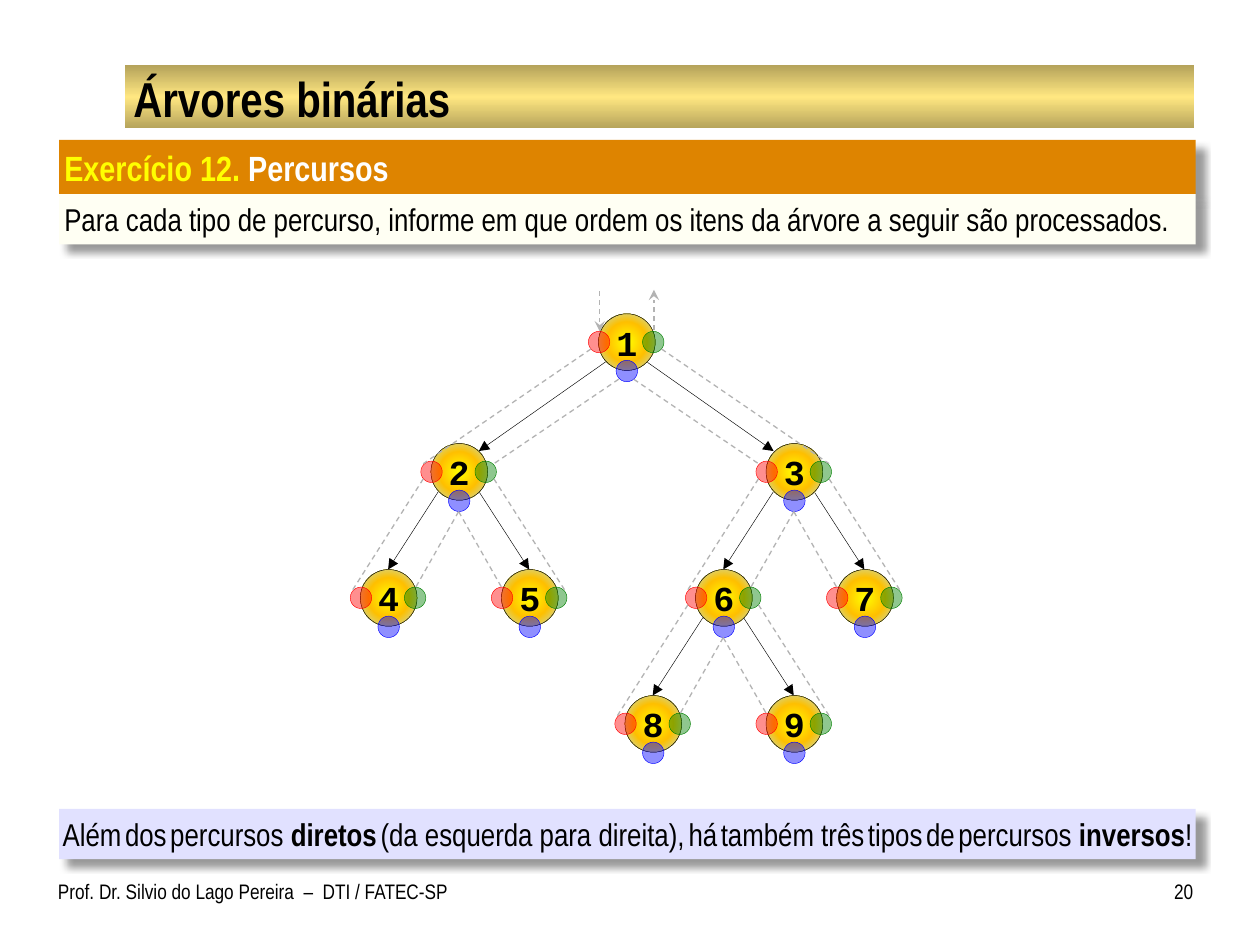
from lxml import etree
from pptx import Presentation
from pptx.dml.color import RGBColor
from pptx.enum.dml import MSO_LINE
from pptx.enum.shapes import MSO_CONNECTOR, MSO_SHAPE
from pptx.enum.text import MSO_ANCHOR, PP_ALIGN
from pptx.oxml import parse_xml
from pptx.oxml.ns import nsdecls, qn
from pptx.util import Emu, Pt

RECTANGLE, OVAL = MSO_SHAPE.RECTANGLE, MSO_SHAPE.OVAL
STRAIGHT, DASH = MSO_CONNECTOR.STRAIGHT, MSO_LINE.DASH
TOP, MIDDLE = MSO_ANCHOR.TOP, MSO_ANCHOR.MIDDLE
LEFT, CENTER, RIGHT, JUSTIFY = PP_ALIGN.LEFT, PP_ALIGN.CENTER, PP_ALIGN.RIGHT, PP_ALIGN.JUSTIFY

EMU_PER_PX = 9144  # 100 px to the inch
BODY_FONT, NODE_FONT = "Arial Narrow", "Courier New"
BLACK, WHITE, YELLOW, GREY = "000000", "FFFFFF", "FFFF00", "B3B3B3"
RED, BLUE, GREEN = "FF0000", "0000FF", "008000"
BAND_STOPS = [(0, "B5A35B"), (50, "FFE781"), (100, "B5A35B")]
NODE_STOPS = [(0, YELLOW), (50, "FFC000"), (100, "B8E3E6")]
VERTICAL = '<a:lin ang="5400000" scaled="0"/>'
RADIAL = '<a:path path="circle"><a:fillToRect l="50000" t="50000" r="50000" b="50000"/></a:path>'

# (label, left subtree, right subtree)
TREE = ("1",
        ("2", ("4", None, None), ("5", None, None)),
        ("3", ("6", ("8", None, None), ("9", None, None)), ("7", None, None)))
RADIUS = 22
NODE_SIZE, DOT_SIZE = 45, 17
DOTS = [(RED, -30, -8), (BLUE, -8, 15), (GREEN, 13, -8)]


def px(value):
    return Emu(round(value * EMU_PER_PX))


def color(hex_string):
    return RGBColor.from_string(hex_string)


def add_shape(shapes, kind, box, fill=None, line=None, alpha=None):
    shape = shapes.add_shape(kind, *map(px, box))
    shape.shadow.inherit = False
    if fill:
        shape.fill.solid()
        shape.fill.fore_color.rgb = color(fill)
    if alpha:
        rgb = shape.fill._xPr.find(".//" + qn("a:srgbClr"))
        etree.SubElement(rgb, qn("a:alpha"), val=str(alpha * 1000))
    if line:
        shape.line.color.rgb = color(line)
        shape.line.width = Pt(0.25)
    else:
        shape.line.fill.background()
    return shape


def set_gradient(shape, stops, direction):
    marks = "".join(f'<a:gs pos="{position * 1000}"><a:srgbClr val="{value}"/></a:gs>'
                    for position, value in stops)
    gradient = parse_xml(f'<a:gradFill {nsdecls("a")} rotWithShape="1">'
                         f"<a:gsLst>{marks}</a:gsLst>{direction}</a:gradFill>")
    shape._element.spPr.find(qn("a:prstGeom")).addnext(gradient)


def add_drop_shadow(shape):
    effects = shape._element.spPr.find(qn("a:effectLst"))
    effects.append(parse_xml(
        f'<a:outerShdw {nsdecls("a")} blurRad="50800" dist="76200" dir="2700000" algn="tl" '
        'rotWithShape="0"><a:srgbClr val="000000"><a:alpha val="40000"/></a:srgbClr></a:outerShdw>'))


def write_text(shape, runs, size=18, font=BODY_FONT, align=LEFT, anchor=TOP,
               insets=(0, 5, 0, 5), wrap=True):
    """Write runs given as (text, format), where format may hold size, color and bold."""
    frame = shape.text_frame
    frame.word_wrap = wrap
    frame.vertical_anchor = anchor
    frame.margin_left, frame.margin_top, frame.margin_right, frame.margin_bottom = map(px, insets)
    paragraph = frame.paragraphs[0]
    paragraph.alignment = align
    for text, style in runs:
        run = paragraph.add_run()
        run.text = text
        run.font.name = font
        run.font.size = Pt(style.get("size", size))
        run.font.bold = style.get("bold", False)
        run.font.color.rgb = color(style.get("color", BLACK))


def add_line(shapes, start, end, stroke=BLACK, width=0.25, dash=None, head=None):
    line = shapes.add_connector(STRAIGHT, *map(px, (*start, *end)))
    line.line.color.rgb = color(stroke)
    line.line.width = Pt(width)
    if dash:
        line.line.dash_style = dash
    properties = line._element.spPr
    if head:
        etree.SubElement(properties.find(qn("a:ln")), qn("a:tailEnd"), type=head)
    etree.SubElement(properties, qn("a:effectLst"))


def add_walk_line(shapes, start, end, head=None):
    add_line(shapes, start, end, GREY, 0.75, DASH, head)


def add_title(slide, left, top, width, height):
    band = add_shape(slide.shapes, RECTANGLE, (left, top, width, height))
    set_gradient(band, BAND_STOPS, VERTICAL)
    title = slide.shapes.add_textbox(*map(px, (left + 1, top + 2, width - 2, height - 3)))
    write_text(title, [("Árvores binárias", {"bold": True})], size=28, anchor=MIDDLE,
               insets=(6, 1, 6, 1))


def add_exercise(slide, left, top, width, header_height, body_height):
    header = add_shape(slide.shapes, RECTANGLE, (left, top, width, header_height), "DE8400")
    write_text(header, [("Exercício 12.", {"bold": True, "color": YELLOW}),
                        (" Percursos", {"bold": True, "color": WHITE})],
               size=20, insets=(4, 5, 10, 5))
    body = add_shape(slide.shapes, RECTANGLE,
                     (left, top + header_height, width, body_height), "FFFFF3")
    write_text(body, [("Para cada tipo de percurso, informe em que ordem os itens da árvore "
                       "a seguir são processados.", {})], align=JUSTIFY, insets=(4, 5, 4, 5))
    for shape in (header, body):
        add_drop_shadow(shape)


def add_note(slide, box):
    """Add the closing note; each | in its text becomes a half-size space."""
    note = add_shape(slide.shapes, RECTANGLE, box, "E1E1FF")
    add_drop_shadow(note)
    phrases = [("Além|dos|percursos ", False), ("diretos", True),
               ("|(da esquerda para direita),|há|também três|tipos|de|percursos ", False),
               ("inversos", True), ("!", False)]
    runs = []
    for phrase, bold in phrases:
        for index, words in enumerate(phrase.split("|")):
            if index:
                runs.append((" ", {"size": 9}))
            if words:
                runs.append((words, {"bold": bold}))
    write_text(note, runs, align=CENTER)


def add_footer(slide, left, top, width, height):
    for text, align in (("Prof. Dr. Silvio do Lago Pereira  –  DTI / FATEC-SP", LEFT),
                        ("20", RIGHT)):
        footer = slide.shapes.add_textbox(*map(px, (left, top, width, height)))
        write_text(footer, [(text, {})], size=12, align=align)


def add_node(shapes, label, x, y):
    node = add_shape(shapes, OVAL, (x - RADIUS, y - RADIUS, NODE_SIZE, NODE_SIZE), line=BLACK)
    set_gradient(node, NODE_STOPS, RADIAL)
    write_text(node, [(label, {"bold": True})], size=20, font=NODE_FONT, align=CENTER,
               anchor=MIDDLE, insets=(10, 5, 10, 5), wrap=False)
    for dot_color, dx, dy in DOTS:
        add_shape(shapes, OVAL, (x + dx, y + dy, DOT_SIZE, DOT_SIZE), dot_color, dot_color, 44)


def place_tree(tree, x, y, depth=0):
    """Return the nodes (label, x, y) and edges (depth, side, parent, child) of a tree."""
    label, *children = tree
    nodes, edges = [(label, x, y)], []
    spread, drop = (56, 100) if depth else (133, 103)
    for side, child in zip((-1, 1), children):
        if child:
            child_x, child_y = x + side * spread, y + drop
            edges.append((depth, side, (x, y), (child_x, child_y)))
            child_nodes, child_edges = place_tree(child, child_x, child_y, depth + 1)
            nodes += child_nodes
            edges += child_edges
    return nodes, edges


def add_tree(slide, x, y):
    """Draw the tree and the walk around it, with its root centred at x, y."""
    shapes = slide.shapes.add_group_shape().shapes
    nodes, edges = place_tree(TREE, x, y)
    for depth, side, (px_, py_), (cx, cy) in edges:
        end = (cx, cy - RADIUS) if depth else (cx - side * 16, cy - 16)
        add_line(shapes, (px_ + side * 16, py_ + 16), end, head="triangle")
    for node in nodes:
        add_node(shapes, *node)
    for depth, side, (px_, py_), (cx, cy) in edges:
        add_walk_line(shapes, (px_ + side * 28, py_ + 6), (cx + side * 28, cy - 6))
        if depth:
            add_walk_line(shapes, (px_, py_ + 32), (cx - side * 22, cy - 8))
        else:
            add_walk_line(shapes, (px_ + side * 6, py_ + 30), (cx - side * 28, cy - 6))
    add_walk_line(shapes, (x - 21, y - 40), (x - 21, y - 8), "stealth")
    add_walk_line(shapes, (x + 22, y - 9), (x + 22, y - 41), "stealth")


def main():
    presentation = Presentation()
    presentation.slide_width, presentation.slide_height = px(1000), px(750)
    slide = presentation.slides.add_slide(presentation.slide_layouts[6])
    add_title(slide, 99, 52, 849, 50)
    add_exercise(slide, 47, 111, 902, 43, 40)
    add_footer(slide, 46, 692, 901, 42)
    add_note(slide, (47, 642, 902, 40))
    add_tree(slide, 497, 271)
    presentation.save("out.pptx")


if __name__ == "__main__":
    main()
